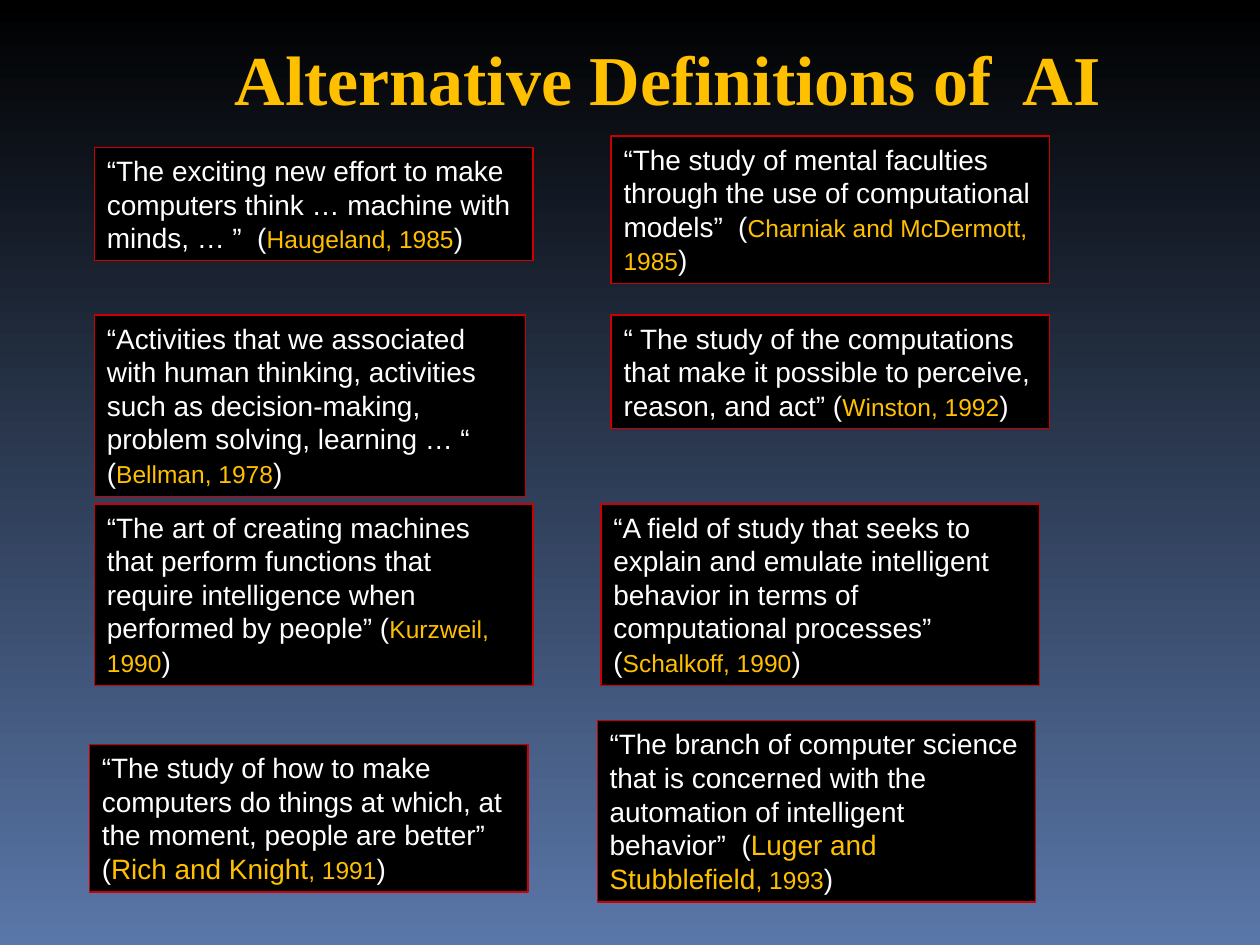
from pptx import Presentation
from pptx.dml.color import RGBColor
from pptx.enum.shapes import MSO_SHAPE as Shape
from pptx.enum.text import MSO_ANCHOR as Anchor, MSO_AUTO_SIZE as Fit, PP_ALIGN as Align
from pptx.util import Inches, Pt

HUES = {"box": "000000", "edge": "CC0000", "text": "FFFFFF", "gold": "FFC000",
        "top": "000000", "base": "5A77A9"}
TITLE = "Alternative Definitions of  AI"

# left, top, lines of text, quote, author at full size, source in small type
QUOTES = [
    (0.75, 1.17, 3, "“The exciting new effort to make computers think … machine with minds, … ”  (",
     "", "Haugeland, 1985"),
    (0.75, 2.5, 5, "“Activities that we associated with human thinking, activities such as "
     "decision-making, problem solving, learning … “ (", "", "Bellman, 1978"),
    (0.75, 4, 5, "“The art of creating machines that perform functions that require "
     "intelligence when performed by people” (", "", "Kurzweil, 1990"),
    (0.71, 5.91, 4, "“The study of how to make computers do things at which, at the moment, "
     "people are better”  (", "Rich and Knight", ", 1991"),
    (4.85, 1.08, 4, "“The study of mental faculties through the use of computational models”  (",
     "", "Charniak and McDermott, 1985"),
    (4.85, 2.5, 3, "“ The study of the computations that make it possible to perceive, "
     "reason, and act” (", "", "Winston, 1992"),
    (4.77, 4, 5, "“A field of study that seeks to explain and emulate intelligent behavior "
     "in terms of computational processes” (", "", "Schalkoff, 1990"),
    (4.74, 5.72, 5, "“The branch of computer science that is concerned with the automation "
     "of intelligent behavior”  (", "Luger and Stubblefield", ", 1993"),
]
WIDE, LINE, PAD = 3.48, 0.27, 0.09
SLIM = {(0.75, 2.5): 3.42}


def hue(name):
    return RGBColor.from_string(HUES[name])


def add_run(para, text, color, **form):
    run = para.add_run()
    run.text = text
    run.font.color.rgb = hue(color)
    for key, value in form.items():
        setattr(run.font, key, value)


def add_quote(slide, left, top, lines, quote, author, source):
    width = SLIM.get((left, top), WIDE)
    box = slide.shapes.add_shape(Shape.RECTANGLE, *map(Inches, (left, top, width, PAD + lines * LINE)))
    box.shadow.inherit = False
    box.fill.solid()
    box.fill.fore_color.rgb = hue("box")
    box.line.color.rgb = hue("edge")
    box.line.width = Pt(0.75)
    frame = box.text_frame
    frame.word_wrap = True
    frame.auto_size = Fit.SHAPE_TO_FIT_TEXT
    frame.vertical_anchor = Anchor.TOP
    para = frame.paragraphs[0]
    para.alignment = Align.LEFT
    parts = [(quote, "text", 16), (author, "gold", 16), (source, "gold", 14), (")", "text", 16)]
    for text, color, size in parts:
        if text:
            add_run(para, text, color, size=Pt(size), name="Arial")


def add_title(slide):
    title = slide.shapes.title
    spot = {"left": 1.05, "top": 0.17, "width": 8.5, "height": 1}
    for key, value in spot.items():
        setattr(title, key, Inches(value))
    frame = title.text_frame
    frame.word_wrap = True
    frame.auto_size = Fit.NONE
    frame.vertical_anchor = Anchor.TOP
    frame.margin_top = Inches(0.11)
    para = frame.paragraphs[0]
    para.alignment = Align.CENTER
    add_run(para, TITLE, "gold", size=Pt(40), name="Times New Roman", bold=True)


def main():
    deck = Presentation()
    deck.slide_width, deck.slide_height = Inches(10), Inches(7.5)
    slide = deck.slides.add_slide(deck.slide_layouts[5])
    back = slide.background.fill
    back.gradient()
    back.gradient_angle = 270
    for stop, name in zip(back.gradient_stops, ("top", "base")):
        stop.color.rgb = hue(name)
    add_title(slide)
    for row in QUOTES:
        add_quote(slide, *row)
    deck.save("out.pptx")


if __name__ == "__main__":
    main()
